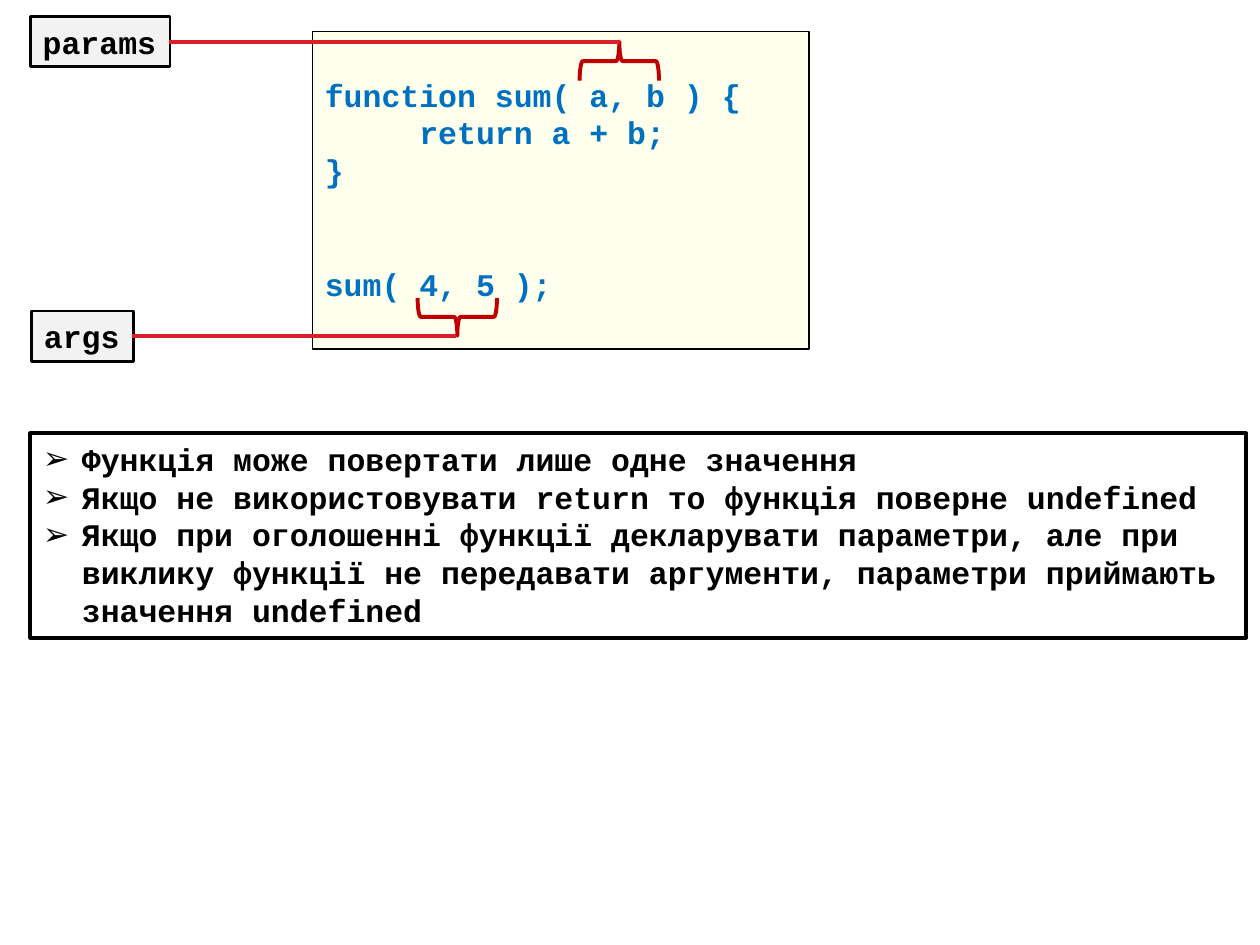
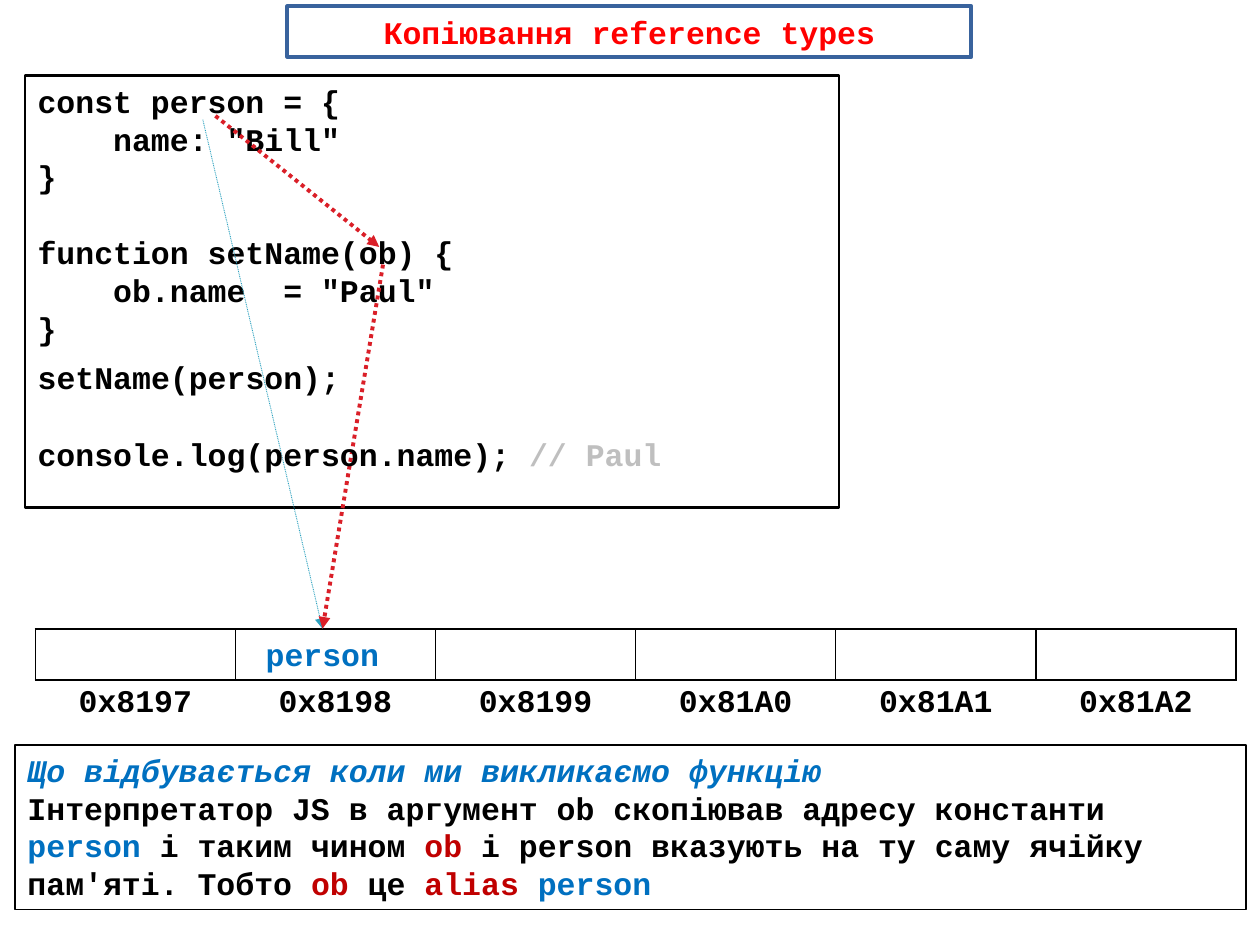
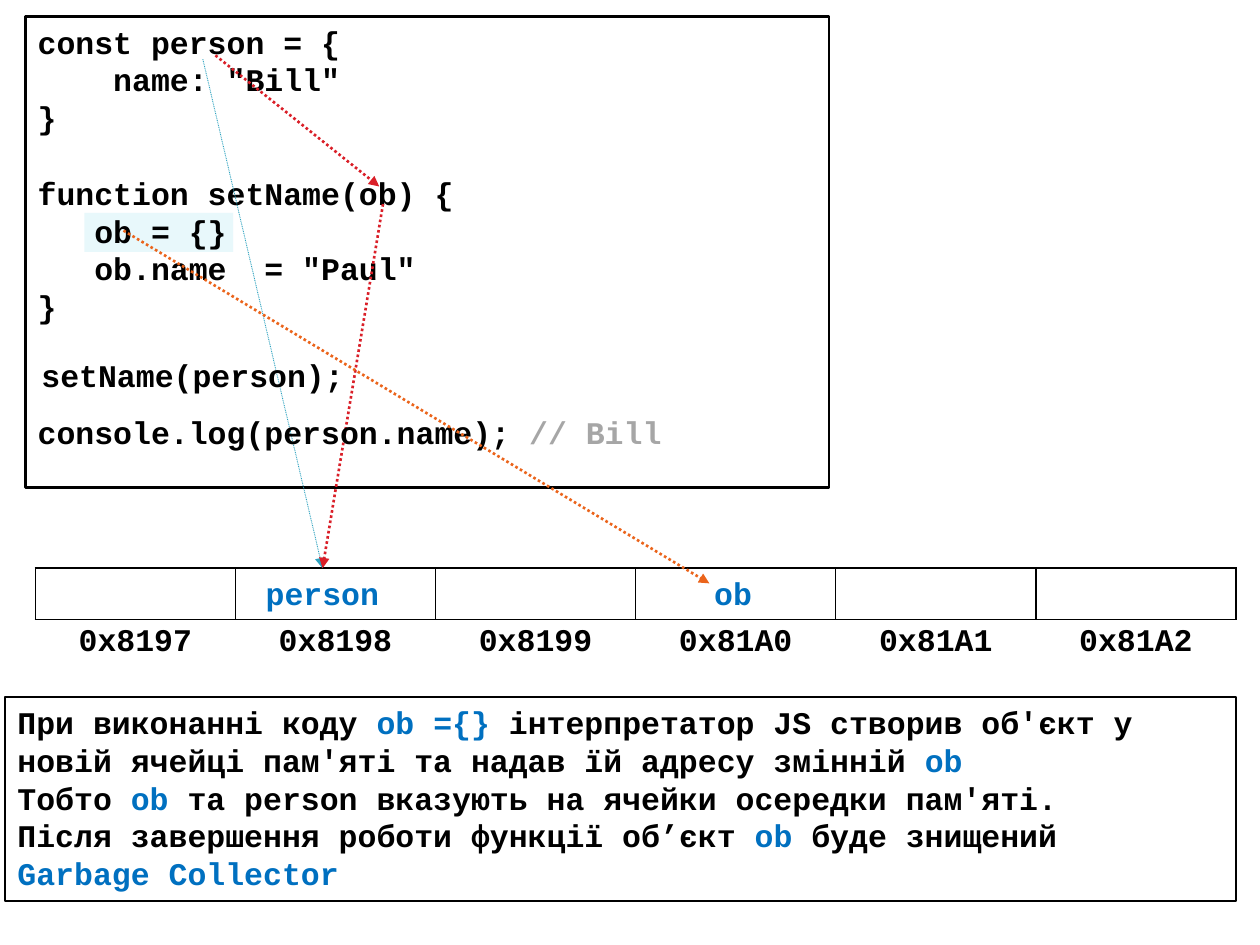
from lxml import etree
from pptx import Presentation
from pptx.dml.color import RGBColor
from pptx.enum.dml import MSO_LINE
from pptx.enum.shapes import MSO_CONNECTOR, MSO_SHAPE
from pptx.enum.text import MSO_ANCHOR, MSO_AUTO_SIZE, PP_ALIGN
from pptx.oxml.ns import qn
from pptx.util import Inches, Pt

RECT, LEFT_BRACE = MSO_SHAPE.RECTANGLE, MSO_SHAPE.LEFT_BRACE
STRAIGHT, DOTTED = MSO_CONNECTOR.STRAIGHT, MSO_LINE.ROUND_DOT
TOP, MIDDLE = MSO_ANCHOR.TOP, MSO_ANCHOR.MIDDLE
LEFT, CENTER = PP_ALIGN.LEFT, PP_ALIGN.CENTER
NO_FIT = MSO_AUTO_SIZE.NONE

BLACK, WHITE, YELLOW, PALE = "000000", "FFFFFF", "FFFF00", "F2F2F2"
BLUE, DARK_RED, RED, TITLE_RED = "0070C0", "C00000", "DA1F28", "FF0000"
TEAL, ORANGE, FRAME_BLUE, AQUA = "2DA2BF", "EB641B", "39639D", "DEF5FA"
FONT = {"name": "Courier New", "size": Pt(18), "bold": True}
CHAR, LINE_PT, INSET = 0.15, 21.6, 0.05

SUM_CODE = [
    (0, 0, "function sum( a, b ) {"),
    (5, 0, "return a + b;"),
    (0, 0, "}"),
    (0, 2, "sum( 4, 5 );"),
]
CALLOUTS = [
    ("params", (0.24, 0.13, 1.11, 0.4), (4.76, 0.17, 0.31, 0.63), 90,
     (4.92, 0.33), (1.34, 0.33)),
    ("args", (0.25, 2.47, 0.81, 0.4), (3.48, 2.2, 0.3, 0.63), 270,
     (3.62, 2.67), (1.05, 2.67)),
]
RULES = [
    "Функція може повертати лише одне значення",
    "Якщо не використовувати return то функція поверне undefined",
    "Якщо при оголошенні функції декларувати параметри, але при виклику функції "
    "не передавати аргументи, параметри приймають значення undefined",
]

TITLE = "Копіювання reference types"
ADDRESSES = ["0x8197", "0x8198", "0x8199", "0x81A0", "0x81A1", "0x81A2"]
PERSON_CODE = [
    (0, 0, "const person = {"),
    (4, 0, 'name: "Bill"'),
    (0, 0, "}"),
    (0, 1, "function setName(ob) {"),
]
COPY_SLIDE = {
    "table_top": 4.99,
    "dot_width": 2.25,
    "code_box": (0.2, 0.6, 6.46, 3.43),
    "code": PERSON_CODE + [(4, 0, 'ob.name  = "Paul"'), (0, 0, "}")],
    "call": (0.2, 2.79, 2.61, 0.4),
    "log": (0.2, 3.4, 5.43, 0.4),
    "result": ("// Paul", "BFBFBF"),
    "note_box": (0.12, 5.91, 9.77, 1.31),
    "note": [
        [("Що відбувається коли ми викликаємо функцію", BLUE, True)],
        [("Інтерпретатор JS в аргумент ob скопіював адресу константи ", BLACK),
         ("person ", BLUE), ("і таким чином ", BLACK), ("ob ", DARK_RED),
         ("і person вказують на ту саму ячійку пам'яті. Тобто ", BLACK),
         ("ob ", DARK_RED), ("це ", BLACK), ("alias ", DARK_RED), ("person", BLUE)],
    ],
}
NEW_OBJECT_SLIDE = {
    "table_top": 4.51,
    "dot_width": 1.5,
    "code_box": (0.2, 0.13, 6.38, 3.74),
    "code": PERSON_CODE + [(3, 0, "ob = {}"), (3, 0, 'ob.name  = "Paul"'), (0, 0, "}")],
    "call": (0.23, 2.78, 2.61, 0.4),
    "log": (0.2, 3.23, 5.28, 0.4),
    "result": ("// Bill", "A6A6A6"),
    "note_box": (0.04, 5.53, 9.77, 1.62),
    "note": [
        [("При виконанні коду ", BLACK), ("ob ={} ", BLUE),
         ("інтерпретатор JS створив об'єкт у новій ячейці пам'яті та надав їй "
          "адресу змінній ", BLACK), ("ob", BLUE)],
        [("Тобто ", BLACK), ("ob ", BLUE),
         ("та person вказують на ячейки осередки пам'яті.", BLACK)],
        [("Після завершення роботи функції об’єкт ", BLACK), ("ob ", BLUE),
         ("буде знищений", BLACK)],
        [("Garbage Collector", BLUE)],
    ],
}


def rgb(value):
    return RGBColor.from_string(value)


def inches(values):
    return [Inches(v) for v in values]


def set_attrs(target, values):
    for name, value in values.items():
        setattr(target, name, value)


def paint(sp, fill=None, line=None, width=1, alpha=None):
    if fill:
        sp.fill.solid()
        sp.fill.fore_color.rgb = rgb(fill)
    else:
        sp.fill.background()
    if alpha:
        color = sp.fill._xPr.find(qn("a:solidFill"))[0]
        etree.SubElement(color, qn("a:alpha"), val=str(alpha * 1000))
    if line:
        sp.line.color.rgb = rgb(line)
        sp.line.width = Pt(width)
    else:
        sp.line.fill.background()


def write(tf, paragraphs, align=LEFT):
    for i, runs in enumerate(paragraphs):
        p = tf.paragraphs[0] if i == 0 else tf.add_paragraph()
        set_attrs(p, {"alignment": align, "space_before": Pt(0), "space_after": Pt(0)})
        for text, color, *italic in runs:
            r = p.add_run()
            r.text = text
            set_attrs(r.font, FONT)
            r.font.color.rgb = rgb(color)
            if italic:
                r.font.italic = True


def add_text(slide, box, paragraphs, wrap=True, top_lines=0, **look):
    sp = slide.shapes.add_textbox(*inches(box))
    paint(sp, **look)
    tf = sp.text_frame
    set_attrs(tf, {"word_wrap": wrap, "vertical_anchor": TOP,
                   "margin_top": Inches(INSET + top_lines * 2 * CHAR)})
    write(tf, paragraphs)
    return sp


def add_code(slide, box, lines, color, **look):
    sp = add_text(slide, box, [[(text, color)] for _, _, text in lines], **look)
    for p, (indent, gap, _) in zip(sp.text_frame.paragraphs, lines):
        p.space_before = Pt(gap * LINE_PT)
        p._p.get_or_add_pPr().set("marL", str(Inches(indent * CHAR)))


def add_preset(slide, preset, box, rotation=0, **look):
    sp = slide.shapes.add_shape(preset, *inches(box))
    sp.shadow.inherit = False
    sp.rotation = rotation
    paint(sp, **look)


def add_line(slide, start, end, color, width, arrow=False):
    s = slide.shapes.add_connector(STRAIGHT, *inches(start + end))
    s.line.color.rgb = rgb(color)
    s.line.width = Pt(width)
    if arrow:
        s.line.dash_style = DOTTED
        etree.SubElement(s.line._ln, qn("a:tailEnd"), type="triangle")
    etree.SubElement(s._element.spPr, qn("a:effectLst"))


def place(sp, box, anchor):
    set_attrs(sp, dict(zip(("left", "top", "width", "height"), inches(box))))
    set_attrs(sp.text_frame, {"auto_size": NO_FIT, "vertical_anchor": anchor,
                              "word_wrap": True})


def set_borders(cell, edges):
    tcPr = cell._tc.get_or_add_tcPr()
    for edge in "LRTB":
        ln = etree.SubElement(tcPr, qn("a:ln" + edge), w=str(Pt(1)))
        if edge in edges:
            fill = etree.SubElement(ln, qn("a:solidFill"))
            etree.SubElement(fill, qn("a:srgbClr"), val=BLACK)
        else:
            etree.SubElement(ln, qn("a:noFill"))


def add_memory(slide, top):
    frame = slide.shapes.add_table(2, len(ADDRESSES), *inches((0.28, top, 9.53, 0.81)))
    table = frame.table
    set_attrs(table, {"first_row": False, "horz_banding": False})
    for col, address in enumerate(ADDRESSES):
        for row, edges in enumerate(("LRTB", "T")):
            cell = table.cell(row, col)
            set_borders(cell, edges)
            cell.fill.background()
        write(table.cell(1, col).text_frame, [[(address, BLACK)]], CENTER)


def add_reference_arrows(slide, top, width):
    add_line(slide, (1.61, top - 4.04), (2.56, top), TEAL, 0.5, True)
    add_line(slide, (1.71, top - 4.07), (3.01, top - 3.03), RED, width, True)
    add_line(slide, (3.04, top - 2.89), (2.56, top), RED, width, True)


def fill_memory_slide(slide, data):
    top = data["table_top"]
    add_memory(slide, top)
    add_code(slide, data["code_box"], data["code"], BLACK, line=BLACK, width=1.5)
    add_reference_arrows(slide, top, data["dot_width"])
    add_text(slide, (2.01, top, 1.11, 0.4), [[("person", BLUE)]], wrap=False)
    add_text(slide, data["call"], [[("setName(person);", BLACK)]], wrap=False)
    add_text(slide, data["log"], [[("console.log(person.name); ", BLACK), data["result"]]])
    add_text(slide, data["note_box"], data["note"], line=BLACK)


def build_params(prs):
    slide = prs.slides.add_slide(prs.slide_layouts[1])
    title, body = slide.placeholders
    title._element.getparent().remove(title._element)
    place(body, (0.24, 3.44, 9.65, 1.62), TOP)
    paint(body, line=BLACK, width=2.25)
    write(body.text_frame, [[(rule, BLACK)] for rule in RULES])
    for p in body.text_frame.paragraphs:
        pPr = p._p.get_or_add_pPr()
        pPr.set("marL", str(Inches(0.31)))
        pPr.set("indent", str(-Inches(0.31)))
        etree.SubElement(pPr, qn("a:buChar"), char="➢")
    add_code(slide, (2.48, 0.25, 3.94, 2.52), SUM_CODE, BLUE, top_lines=1,
             fill=YELLOW, alpha=7, line=BLACK)
    for label, box, brace, rotation, start, end in CALLOUTS:
        add_text(slide, box, [[(label, BLACK)]], wrap=False,
                 fill=PALE, line=BLACK, width=1.5)
        add_preset(slide, LEFT_BRACE, brace, rotation, line=DARK_RED, width=2.25)
        add_line(slide, start, end, RED, 2.25)


def build_copying(prs):
    slide = prs.slides.add_slide(prs.slide_layouts[5])
    title = slide.shapes.title
    place(title, (2.28, 0.05, 5.43, 0.4), MIDDLE)
    paint(title, fill=WHITE, line=FRAME_BLUE, width=2.25)
    write(title.text_frame, [[(TITLE, TITLE_RED)]], CENTER)
    fill_memory_slide(slide, COPY_SLIDE)


def build_new_object(prs):
    slide = prs.slides.add_slide(prs.slide_layouts[6])
    add_preset(slide, RECT, (0.67, 1.69, 1.18, 0.31), fill=AQUA, alpha=69)
    fill_memory_slide(slide, NEW_OBJECT_SLIDE)
    add_line(slide, (0.98, 1.83), (5.63, 4.63), ORANGE, 1.5, True)
    add_text(slide, (5.57, 4.51, 0.5, 0.4), [[("ob", BLUE)]], wrap=False)


def main():
    prs = Presentation()
    prs.slide_width, prs.slide_height = Inches(10), Inches(7.5)
    build_params(prs)
    build_copying(prs)
    build_new_object(prs)
    prs.save("out.pptx")


if __name__ == "__main__":
    main()
